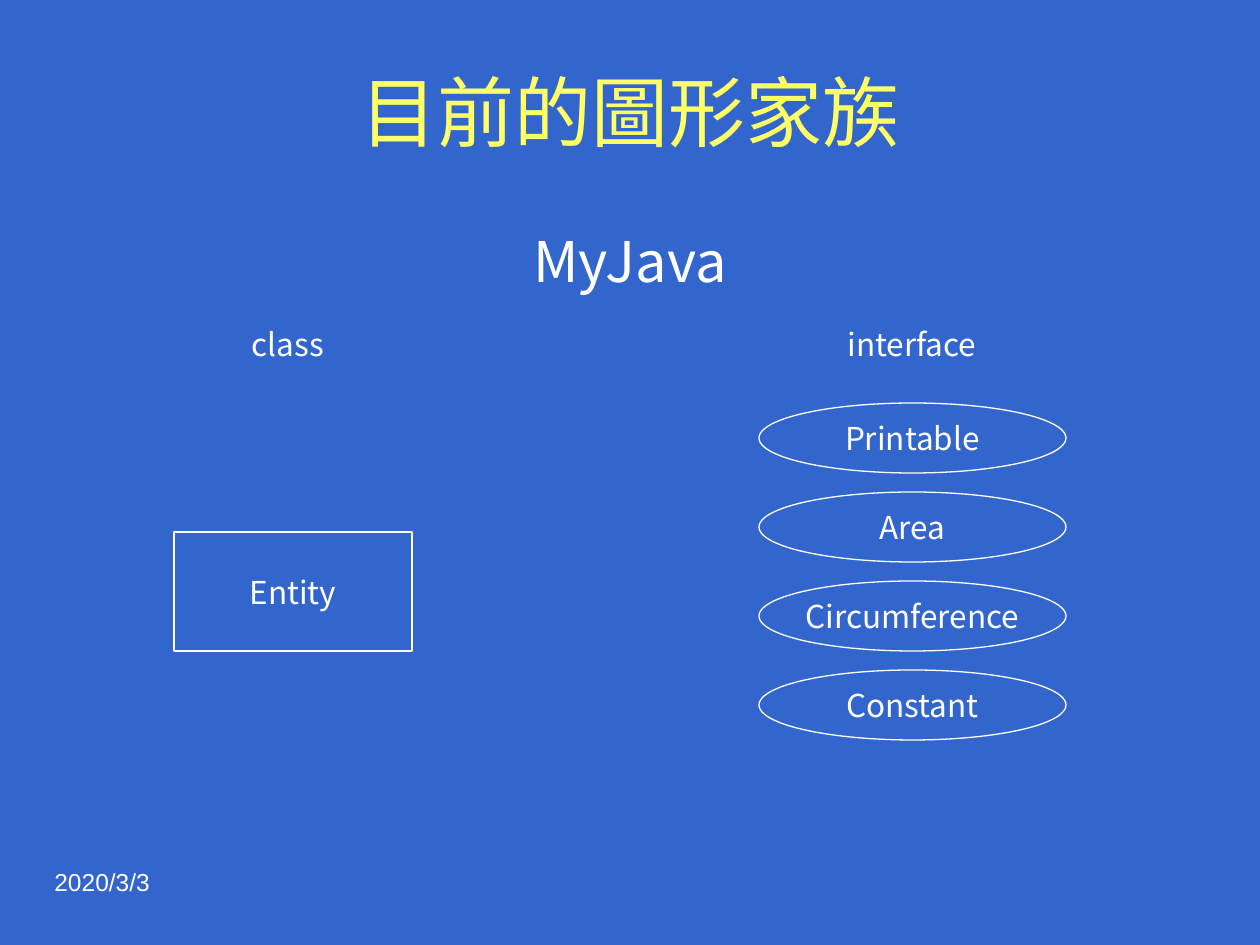
import pptx
import pptx.dml.color
import pptx.enum.lang
import pptx.enum.shapes
import pptx.enum.text
import pptx.util

PX = 914400 / 126
WIDTH, HEIGHT = 1260, 945
BLUE, WHITE, YELLOW = "3366CC", "FFFFFF", "FFFF66"
BODY_FONT = "Noto Sans CJK TC"

SHAPES = pptx.enum.shapes.MSO_SHAPE
ALIGN = pptx.enum.text.PP_ALIGN
ANCHOR = pptx.enum.text.MSO_ANCHOR


def px(length):
    return pptx.util.Emu(round(length * PX))


def color(hex_string):
    return pptx.dml.color.RGBColor.from_string(hex_string)


def write(shape, text, size, name=BODY_FONT, ink=WHITE, align=ALIGN.CENTER,
          anchor=ANCHOR.MIDDLE, wrap=False):
    """Fill a shape with one formatted paragraph and return the paragraph."""
    frame = shape.text_frame
    frame_format = {"word_wrap": wrap, "vertical_anchor": anchor,
                    "auto_size": pptx.enum.text.MSO_AUTO_SIZE.NONE}
    for attribute, value in frame_format.items():
        setattr(frame, attribute, value)
    paragraph = frame.paragraphs[0]
    paragraph.alignment = align
    run = paragraph.add_run()
    run.text = text
    font_format = {"size": pptx.util.Pt(size), "name": name, "bold": False}
    for attribute, value in font_format.items():
        setattr(run.font, attribute, value)
    run.font.color.rgb = color(ink)
    return paragraph


def add_text(slide, box, text, size, **text_format):
    shape = slide.shapes.add_textbox(*map(px, box))
    return write(shape, text, size, **text_format)


def add_outline(slide, kind, box, text):
    shape = slide.shapes.add_shape(kind, *map(px, box))
    shape.shadow.inherit = False
    shape.fill.background()
    shape.line.color.rgb = color(WHITE)
    shape.line.width = pptx.util.Pt(0.75)
    write(shape, text, 18)


def add_title(slide, box, text):
    title = slide.shapes.title
    for attribute, value in zip(("left", "top", "width", "height"), box):
        setattr(title, attribute, px(value))
    paragraph = write(title, text, 44, name="Arial", ink=YELLOW, wrap=True)
    language = pptx.enum.lang.MSO_LANGUAGE_ID.TRADITIONAL_CHINESE
    paragraph.runs[0].font.language_id = language


def add_class_column(slide, box):
    left, top, width, height = box
    add_text(slide, (left, top, 228, 59), "class", 18)
    add_outline(slide, SHAPES.RECTANGLE,
                (left, top + height - 119, width, 119), "Entity")


def add_interface_column(slide, box, names):
    left, top, width, height = box
    label_width, oval_height, first_oval = 228, 70, 89
    add_text(slide, (left + (width - label_width) // 2, top, label_width, 59),
             "interface", 18)
    # Ovals share the height below the label at an equal pitch
    pitch = (height - first_oval - oval_height) / (len(names) - 1)
    for index, name in enumerate(names):
        oval_top = top + first_oval + index * pitch
        add_outline(slide, SHAPES.OVAL, (left, oval_top, width, oval_height), name)


def main():
    presentation = pptx.Presentation()
    presentation.slide_width, presentation.slide_height = px(WIDTH), px(HEIGHT)
    slide = presentation.slides.add_slide(presentation.slide_layouts[5])
    slide.background.fill.solid()
    slide.background.fill.fore_color.rgb = color(BLUE)

    # Date, title and package name
    add_text(slide, (42, 861, 315, 66), "2020/3/3", 14, name="Arial",
             align=ALIGN.LEFT, anchor=ANCHOR.TOP, wrap=True)
    add_title(slide, (42, 32, 1176, 157), "目前的圖形家族")
    package = add_text(slide, (42, 220, 1176, 620), "MyJava", 32,
                       anchor=ANCHOR.TOP, wrap=True)
    package.space_before = pptx.util.Pt(6.4)

    # Classes on the left, interfaces on the right
    add_class_column(slide, (174, 314, 238, 337))
    add_interface_column(slide, (759, 314, 307, 426),
                         ["Printable", "Area", "Circumference", "Constant"])

    presentation.save("out.pptx")


if __name__ == "__main__":
    main()
